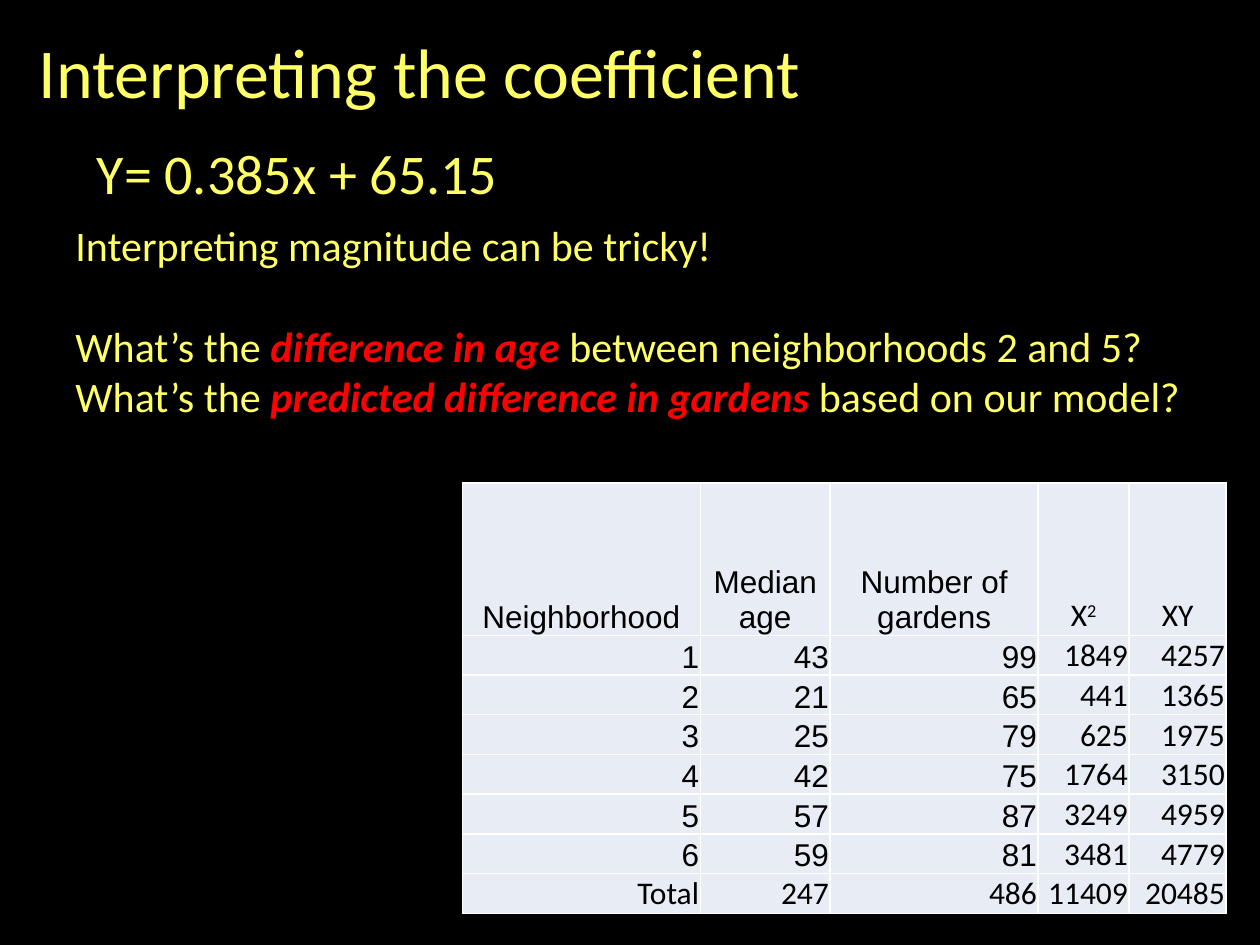
from dataclasses import dataclass, field

from lxml import etree
from pptx import Presentation
from pptx import util as u
from pptx.dml import color
from pptx.enum import text
from pptx.oxml import ns

YELLOW, RED, BLACK, WHITE, PALE = "FFFF66", "FF0000", "000000", "FFFFFF", "E8ECF4"
BODY_FONT, DATA_FONT = "Calibri", "Arial"
BLANK_LAYOUT = 6


@dataclass
class Span:
    words: str
    hue: str = YELLOW
    strong: bool = False
    raised: bool = False


@dataclass
class Line:
    spans: list[Span]
    gap: float = 0


@dataclass
class TextBlock:
    left: float
    top: float
    width: float
    height: float
    size: float
    lines: list[Line] = field(default_factory=list)


def rgb(hex_code: str) -> color.RGBColor:
    return color.RGBColor.from_string(hex_code)


def set_all(target, formats: dict) -> None:
    for key, value in formats.items():
        setattr(target, key, value)


def write_span(paragraph, span: Span, size: float, face: str) -> None:
    run = paragraph.add_run()
    run.text = span.words
    set_all(run.font, {"size": u.Pt(size), "name": face,
                       "bold": span.strong, "italic": span.strong})
    run.font.color.rgb = rgb(span.hue)
    if span.raised:
        run._r.get_or_add_rPr().set("baseline", "30000")


def draw_block(slide, block: TextBlock) -> None:
    box = slide.shapes.add_textbox(*map(u.Pt, (block.left, block.top, block.width, block.height)))
    frame = box.text_frame
    frame.word_wrap = True
    for i, line in enumerate(block.lines):
        paragraph = frame.add_paragraph() if i else frame.paragraphs[0]
        if line.gap:
            paragraph.space_before = u.Pt(line.gap)
        for span in line.spans:
            write_span(paragraph, span, block.size, BODY_FONT)


def add_borders(cell) -> None:
    properties = cell._tc.get_or_add_tcPr()
    for side in ("a:lnL", "a:lnR", "a:lnT", "a:lnB"):
        edge = etree.SubElement(properties, ns.qn(side), w=str(u.Pt(1)))
        paint = etree.SubElement(edge, ns.qn("a:solidFill"))
        etree.SubElement(paint, ns.qn("a:srgbClr"), val=WHITE)


def fill_cell(cell, spans: list[Span], align, face: str) -> None:
    add_borders(cell)
    cell.fill.solid()
    cell.fill.fore_color.rgb = rgb(PALE)
    set_all(cell, {"vertical_anchor": text.MSO_ANCHOR.BOTTOM,
                   "margin_left": u.Pt(0.72), "margin_right": u.Pt(0.72),
                   "margin_top": u.Pt(0.72), "margin_bottom": u.Pt(0)})
    paragraph = cell.text_frame.paragraphs[0]
    paragraph.alignment = align
    for span in spans:
        write_span(paragraph, span, 18, face)


# Wording
TITLE = TextBlock(15, 13, 654, 47.5, 40, [Line([Span("Interpreting the coefficient")])])
EQUATION = TextBlock(48.2, 75.6, 366.5, 46, 32, [Line([Span("Y= 0.385x + 65.15")])])


def question(emphasis: str, rest: str, gap: float = 0) -> Line:
    return Line([Span("What’s the "), Span(emphasis, RED, True), Span(rest)], gap)


QUESTIONS = TextBlock(36, 121.7, 674.6, 152.6, 24, [
    Line([Span("Interpreting magnitude can be tricky!")]),
    question("difference in age ", "between neighborhoods 2 and 5?", 29),
    question("predicted difference in gardens ", "based on our model?"),
])

# Neighborhood data: median age, gardens; squares and products follow
HEADINGS = ["Neighborhood", "Median age", "Number of gardens", "X²", "XY"]
OBSERVATIONS = [(43, 99), (21, 65), (25, 79), (42, 75), (57, 87), (59, 81)]
PRODUCTS = [4257, 1365, 1975, 3150, 4959, 4779]
COLUMN_WIDTHS = [136, 74.2, 118.9, 52, 55.4]
HEADER_HEIGHT, ROW_HEIGHT = 87, 20.16


def data_rows() -> list[list]:
    rows = [[number, age, gardens, age ** 2, product]
            for number, ((age, gardens), product) in enumerate(zip(OBSERVATIONS, PRODUCTS), 1)]
    totals = [sum(column) for column in zip(*rows)]
    return [HEADINGS, *rows, ["Total", *totals[1:]]]


def draw_data(slide) -> None:
    rows = data_rows()
    heights = [HEADER_HEIGHT] + [ROW_HEIGHT] * (len(rows) - 1)
    table = slide.shapes.add_table(
        len(rows), len(HEADINGS), u.Pt(264.2), u.Pt(276),
        u.Pt(sum(COLUMN_WIDTHS)), u.Pt(sum(heights))).table
    set_all(table, {"first_row": False, "horz_banding": False})
    for column, width in zip(table.columns, COLUMN_WIDTHS):
        column.width = u.Pt(width)
    for r, (values, height) in enumerate(zip(rows, heights)):
        table.rows[r].height = u.Pt(height)
        align = text.PP_ALIGN.RIGHT if r else text.PP_ALIGN.CENTER
        for c, value in enumerate(values):
            spans = [Span(str(value), BLACK)]
            if value == "X²":
                spans = [Span("X", BLACK), Span("2", BLACK, raised=True)]
            face = DATA_FONT if c < 3 and r < len(rows) - 1 else BODY_FONT
            fill_cell(table.cell(r, c), spans, align, face)


def main() -> None:
    deck = Presentation()
    set_all(deck, {"slide_width": u.Pt(720), "slide_height": u.Pt(540)})
    slide = deck.slides.add_slide(deck.slide_layouts[BLANK_LAYOUT])
    slide.background.fill.solid()
    slide.background.fill.fore_color.rgb = rgb(BLACK)
    draw_data(slide)
    for block in (EQUATION, TITLE, QUESTIONS):
        draw_block(slide, block)
    deck.save("out.pptx")


if __name__ == "__main__":
    main()
